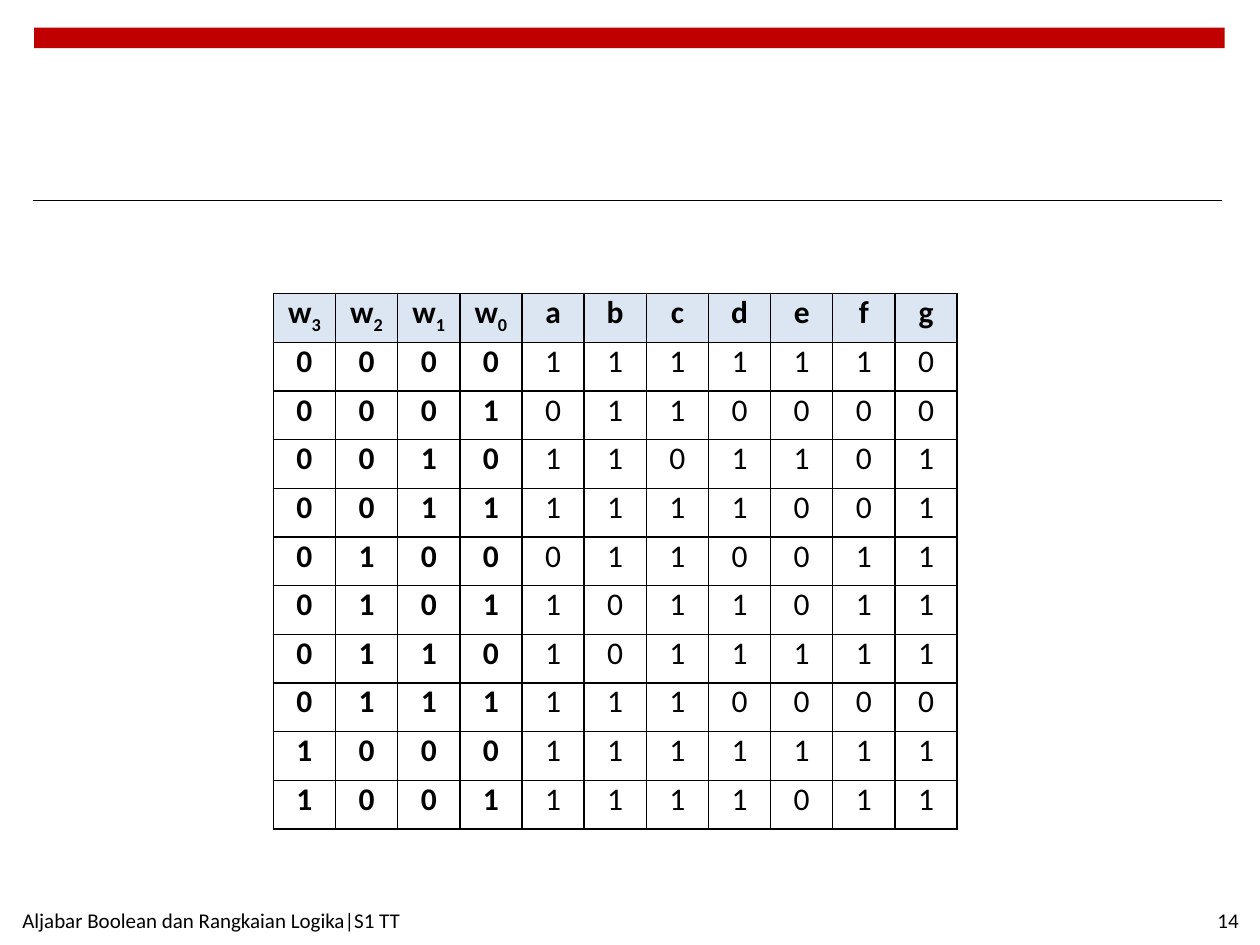
from lxml.etree import SubElement as Sub
from pptx import Presentation
from pptx.dml.color import RGBColor as Rgb
from pptx.enum.shapes import MSO_CONNECTOR as Conn, MSO_SHAPE as Shape
from pptx.enum.text import MSO_ANCHOR as Anchor, PP_ALIGN as Align
from pptx.oxml.ns import qn
from pptx.util import Cm, Pt

COLORS = {"bar": "C00000", "ink": "000000", "head": "DCE6F2"}
INPUTS = ["w3", "w2", "w1", "w0"]
OUTPUTS = "abcdefg"
DIGITS = [
    "1111110", "0110000", "1101101", "1111001", "0110011",
    "1011011", "1011111", "1110000", "1111111", "1111011",
]


def color(name):
    return Rgb.from_string(COLORS[name])


def style(para, size, align, bold=False):
    para.alignment = align
    font = para.font
    font.name, font.size, font.bold = "Calibri", Pt(size), bold
    font.color.rgb = color("ink")


def header(slide, left, top, width):
    bar = slide.shapes.add_shape(
        Shape.RECTANGLE, Cm(left), Cm(top), Cm(width), Cm(0.41))
    bar.shadow.inherit = False
    bar.fill.solid()
    bar.fill.fore_color.rgb = color("bar")
    bar.line.fill.background()
    y = Cm(top + 3.48)
    rule = slide.shapes.add_connector(
        Conn.STRAIGHT, Cm(left - 0.03), y, Cm(left + width - 0.05), y)
    rule.line.color.rgb = color("ink")
    rule.line.width = Pt(0.6)
    Sub(rule._element.spPr, qn("a:effectLst"))


def label(slide, text, left, top, width, height, align):
    box = slide.shapes.add_textbox(Cm(left), Cm(top), Cm(width), Cm(height))
    frame = box.text_frame
    frame.word_wrap = True
    frame.vertical_anchor = Anchor.MIDDLE
    para = frame.paragraphs[0]
    para.text = text
    style(para, 12, align)


def footer(slide, left, top, width, height):
    label(slide, "Aljabar Boolean dan Rangkaian Logika|S1 TT",
          left, top, 9.1, height, Align.LEFT)
    label(slide, "14", left + width - 5.92, top, 5.92, height, Align.RIGHT)


def border(cell):
    props = cell._tc.get_or_add_tcPr()
    for side in ("lnL", "lnR", "lnT", "lnB"):
        line = Sub(props, qn(f"a:{side}"), w=str(Pt(1)))
        fill = Sub(line, qn("a:solidFill"))
        Sub(fill, qn("a:srgbClr"), val=COLORS["ink"])


def write(cell, text, bold, head):
    cell.margin_left = cell.margin_right = Cm(0.18)
    cell.margin_top = cell.margin_bottom = 0
    border(cell)
    if head:
        cell.fill.solid()
        cell.fill.fore_color.rgb = color("head")
    else:
        cell.fill.background()
    para = cell.text_frame.paragraphs[0]
    para.add_run().text = text[0]
    if text[1:]:
        sub = para.add_run()
        sub.text = text[1:]
        sub._r.get_or_add_rPr().set("baseline", "-25000")
    style(para, 18, Align.CENTER, bold)


def truth(slide, left, top, width, height):
    rows = [[*INPUTS, *OUTPUTS]]
    rows += [[*f"{n:04b}", *bits] for n, bits in enumerate(DIGITS)]
    table = slide.shapes.add_table(
        len(rows), len(rows[0]), Cm(left), Cm(top), Cm(width), Cm(height)).table
    table.first_row = table.horz_banding = False
    for r, row in enumerate(rows):
        for c, text in enumerate(row):
            write(table.cell(r, c), text, r == 0 or c < len(INPUTS), r == 0)


def main():
    deck = Presentation()
    deck.slide_width, deck.slide_height = Cm(25.4), Cm(19.05)
    slide = deck.slides.add_slide(deck.slide_layouts[6])
    header(slide, 0.69, 0.56, 24)
    footer(slide, 0.2, 18.03, 25.02, 1.02)
    truth(slide, 5.51, 5.92, 13.79, 10.8)
    deck.save("out.pptx")


if __name__ == "__main__":
    main()
